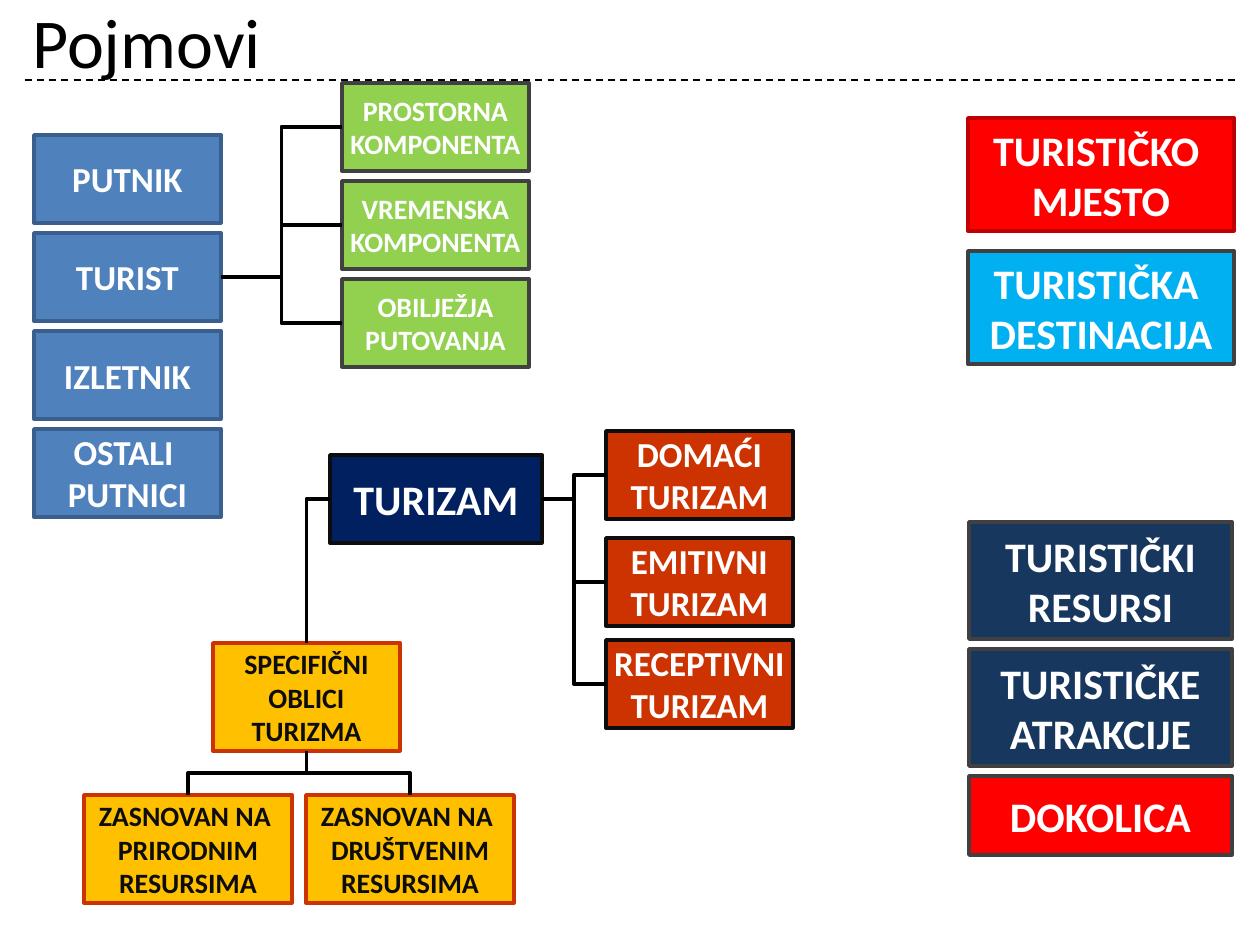
from dataclasses import dataclass

from lxml import etree
from pptx import Presentation
from pptx.dml.color import RGBColor
from pptx.enum.dml import MSO_LINE
from pptx.enum.shapes import MSO_CONNECTOR, MSO_SHAPE
from pptx.enum.text import MSO_ANCHOR, PP_ALIGN
from pptx.oxml.ns import qn
from pptx.util import Emu, Pt

RECTANGLE = MSO_SHAPE.RECTANGLE
STRAIGHT, ELBOW = MSO_CONNECTOR.STRAIGHT, MSO_CONNECTOR.ELBOW
MIDDLE, CENTER = MSO_ANCHOR.MIDDLE, PP_ALIGN.CENTER
DASH = MSO_LINE.DASH
TOP, LEFT, BOTTOM, RIGHT = range(4)
EMU_PER_PX = 914400 / 126


@dataclass(frozen=True)
class Style:
    fill: str
    line: str
    size: int
    text: str = "FFFFFF"


@dataclass(frozen=True)
class Theme:
    font: str = "Calibri"
    ink: str = "000000"
    title_size: int = 40
    rule_width: float = 1
    border_width: float = 2
    connector_width: float = 2.25
    traveller: Style = Style("4F81BD", "3A5F8C", 20)
    component: Style = Style("92D050", "404040", 16)
    tourism: Style = Style("002060", "0D0D0D", 24)
    tourism_type: Style = Style("CC3300", "0D0D0D", 20)
    special_form: Style = Style("FFC000", "CC3300", 16, "0D0D0D")
    place: Style = Style("FF0000", "C00000", 24)
    destination: Style = Style("00B0F0", "404040", 24)
    resource: Style = Style("17375E", "404040", 24)
    leisure: Style = Style("FF0000", "404040", 24)


THEME = Theme()


def px(length):
    return Emu(round(length * EMU_PER_PX))


def rgb(value):
    return RGBColor.from_string(value)


def write_lines(frame, lines, size, color, bold=False, alignment=None):
    frame.vertical_anchor = MIDDLE
    for index, line in enumerate(lines):
        paragraph = frame.paragraphs[0] if index == 0 else frame.add_paragraph()
        paragraph.text = line
        paragraph.alignment = alignment
        paragraph.font.name = THEME.font
        paragraph.font.size = Pt(size)
        paragraph.font.bold = bold
        paragraph.font.color.rgb = rgb(color)


def add_box(slide, left, top, width, height, lines, style):
    shape = slide.shapes.add_shape(RECTANGLE, px(left), px(top), px(width), px(height))
    shape.shadow.inherit = False
    shape.fill.solid()
    shape.fill.fore_color.rgb = rgb(style.fill)
    shape.line.color.rgb = rgb(style.line)
    shape.line.width = Pt(THEME.border_width)
    shape.text_frame.word_wrap = False
    write_lines(shape.text_frame, lines, style.size, style.text, True, CENTER)
    return shape


def add_stack(slide, left, top, width, height, pitch, labels, style):
    return [add_box(slide, left, top + index * pitch, width, height, lines, style)
            for index, lines in enumerate(labels)]


def style_connector(connector, width):
    connector.line.color.rgb = rgb(THEME.ink)
    connector.line.width = Pt(width)
    etree.SubElement(connector._element.spPr, qn("a:effectLst"))


def join(slide, start, start_side, end, end_side):
    connector = slide.shapes.add_connector(ELBOW, 0, 0, 0, 0)
    connector.begin_connect(start, start_side)
    connector.end_connect(end, end_side)
    style_connector(connector, THEME.connector_width)
    return connector


def join_down(slide, parent, child):
    """Elbow that leaves the parent's bottom and enters the child's top."""
    connector = join(slide, parent, BOTTOM, child, TOP)
    shift = connector.end_x - connector.begin_x
    drop = connector.end_y - connector.begin_y
    center_x = (connector.begin_x + connector.end_x) // 2
    center_y = (connector.begin_y + connector.end_y) // 2
    # A turned elbow is described by its box before rotation
    connector.left, connector.top = center_x - drop // 2, center_y - abs(shift) // 2
    connector.width, connector.height = drop, abs(shift)
    transform = connector._element.spPr.xfrm
    transform.flipH = shift > 0
    transform.flipV = False
    transform.rot = 270 if shift > 0 else 90


def join_corner(slide, start, end):
    """Single bend from the start's left side down to the end's top."""
    connector = join(slide, start, LEFT, end, TOP)
    connector._element.spPr.find(qn("a:prstGeom")).set("prst", "bentConnector2")


def add_heading(slide, left, top, width, height):
    title = slide.shapes.add_textbox(px(left), px(top), px(width), px(height))
    title.text_frame.word_wrap = True
    write_lines(title.text_frame, ["Pojmovi"], THEME.title_size, THEME.ink)
    # Dashed rule under the title
    rule_y = px(top + height)
    rule = slide.shapes.add_connector(
        STRAIGHT, px(left + 5), rule_y, px(left + width - 6), rule_y)
    style_connector(rule, THEME.rule_width)
    rule.line.dash_style = DASH


def add_travellers(slide, left, top):
    width, height, pitch = 187, 88, 98
    travellers = add_stack(
        slide, left, top + 52, width, height, pitch,
        [["PUTNIK"], ["TURIST"], ["IZLETNIK"], ["OSTALI ", "PUTNICI"]],
        THEME.traveller)
    components = add_stack(
        slide, left + 308, top, width, height, pitch,
        [["PROSTORNA", "KOMPONENTA"], ["VREMENSKA", "KOMPONENTA"],
         ["OBILJEŽJA", "PUTOVANJA"]],
        THEME.component)
    for component in components:
        join(slide, travellers[1], RIGHT, component, LEFT)


def add_tourism(slide, left, top):
    tourism = add_box(slide, left + 246, top + 24, 212, 88, ["TURIZAM"], THEME.tourism)
    # Types of tourism
    types = [(0, "DOMAĆI"), (107, "EMITIVNI"), (209, "RECEPTIVNI")]
    for offset, name in types:
        box = add_box(slide, left + 522, top + offset, 187, 88,
                      [name, "TURIZAM"], THEME.tourism_type)
        join(slide, tourism, RIGHT, box, LEFT)
    # Special forms and what they are based on
    forms = add_box(slide, left + 129, top + 212, 187, 108,
                    ["SPECIFIČNI", "OBLICI", "TURIZMA"], THEME.special_form)
    join_corner(slide, tourism, forms)
    for index, basis in enumerate(["PRIRODNIM", "DRUŠTVENIM"]):
        box = add_box(slide, left + index * 222, top + 364, 208, 108,
                      ["ZASNOVAN NA ", basis, "RESURSIMA"], THEME.special_form)
        join_down(slide, forms, box)


def add_places(slide, left, top, width):
    height, pitch = 113, 133
    add_box(slide, left, top, width, height, ["TURISTIČKO ", "MJESTO"], THEME.place)
    add_box(slide, left, top + pitch, width, height,
            ["TURISTIČKA ", "DESTINACIJA"], THEME.destination)


def add_resources(slide, left, top, width):
    pitch = 127
    add_stack(slide, left, top, width, 117, pitch,
              [["TURISTIČKI", "RESURSI"], ["TURISTIČKE", "ATRAKCIJE"]], THEME.resource)
    add_box(slide, left, top + 2 * pitch, width, 79, ["DOKOLICA"], THEME.leisure)


def main():
    presentation = Presentation()
    presentation.slide_width, presentation.slide_height = px(1260), px(945)
    slide = presentation.slides.add_slide(presentation.slide_layouts[6])
    add_heading(slide, 20, 0, 1221, 80)
    add_travellers(slide, 34, 83)
    add_tourism(slide, 84, 431)
    add_places(slide, 968, 118, 266)
    add_resources(slide, 969, 522, 263)
    presentation.save("out.pptx")


if __name__ == "__main__":
    main()
